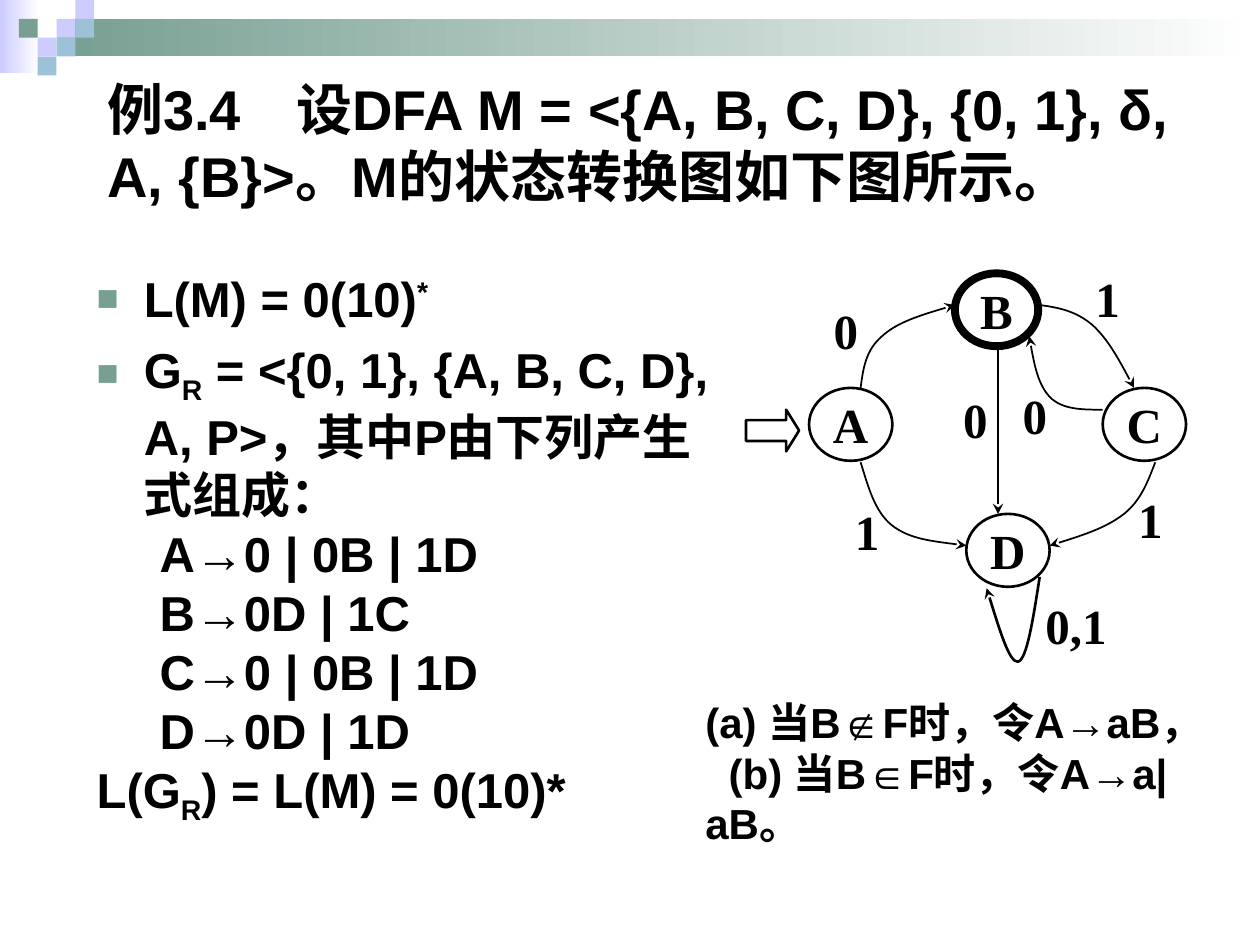
from lxml import etree
from pptx import Presentation
from pptx import util as u
from pptx.dml.color import RGBColor
from pptx.enum import shapes, text
from pptx.oxml import ns

BLACK = RGBColor(0x00, 0x00, 0x00)
WHITE = RGBColor(0xFF, 0xFF, 0xFF)
GREEN = RGBColor(0x77, 0x9F, 0x92)
LILAC = RGBColor(0xCC, 0xCC, 0xFF)
BLUE = RGBColor(0x9D, 0xC2, 0xD7)


def add_xml(parent, tag, **attributes):
    return etree.SubElement(parent, ns.qn(tag), attributes)


class SlideBuilder:
    """Holds the text style and the slide being filled."""

    sans = "Arial"
    serif = "Times New Roman"

    def __init__(self, slide):
        self.slide = slide

    def outline(self, shape, width):
        shape.shadow.inherit = False
        shape.fill.background()
        shape.line.color.rgb = BLACK
        shape.line.width = u.Pt(width)

    def arrowhead(self, shape):
        add_xml(shape.line._get_or_add_ln(), "a:tailEnd", type="stealth")

    def preset(self, kind, *box):
        return self.slide.shapes.add_shape(kind, *map(u.Cm, box))

    def block(self, box, color, fade=False):
        shape = self.preset(shapes.MSO_SHAPE.RECTANGLE, *box)
        shape.shadow.inherit = False
        shape.line.fill.background()
        if fade:
            shape.fill.gradient()
            shape.fill.gradient_angle = 0
            for stop, stop_color in zip(shape.fill.gradient_stops, (color, WHITE)):
                stop.color.rgb = stop_color
        else:
            shape.fill.solid()
            shape.fill.fore_color.rgb = color

    def set_font(self, paragraph, size, name):
        font = paragraph.font
        font.name, font.size, font.bold = name, u.Pt(size), True
        font.color.rgb = BLACK

    def text_box(self, box, anchor=text.MSO_ANCHOR.TOP):
        frame = self.slide.shapes.add_textbox(*map(u.Cm, box)).text_frame
        frame.word_wrap = True
        frame.vertical_anchor = anchor
        return frame

    def paragraph(self, frame, parts, size, margin=0, indent=0,
                  before=0, bullet=False, tab=None):
        """Parts are plain strings or (string, baseline in percent) pairs."""
        first = frame.paragraphs[0]
        paragraph = frame.add_paragraph() if first.runs else first
        properties = paragraph._p.get_or_add_pPr()
        properties.set("marL", str(u.Cm(margin)))
        properties.set("indent", str(u.Cm(indent)))
        if bullet:
            add_xml(add_xml(properties, "a:buClr"), "a:srgbClr", val=str(GREEN))
            add_xml(properties, "a:buSzPct", val="75000")
            add_xml(properties, "a:buFont", typeface=self.sans)
            add_xml(properties, "a:buChar", char="■")
        if tab:
            tabs = add_xml(properties, "a:tabLst")
            add_xml(tabs, "a:tab", pos=str(u.Cm(tab)), algn="l")
        paragraph.space_before = u.Pt(before)
        for part in parts:
            wording, baseline = (part, 0) if isinstance(part, str) else part
            run = paragraph.add_run()
            run.text = wording
            if baseline:
                run._r.get_or_add_rPr().set("baseline", str(baseline * 1000))
        self.set_font(paragraph, size, self.sans)

    def centred(self, frame, wording):
        frame.word_wrap = False
        frame.vertical_anchor = text.MSO_ANCHOR.MIDDLE
        paragraph = frame.paragraphs[0]
        paragraph.text = wording
        paragraph.alignment = text.PP_ALIGN.CENTER
        self.set_font(paragraph, 28, self.serif)

    def state(self, name, left, top, width=1.5):
        shape = self.preset(shapes.MSO_SHAPE.OVAL, left, top, 1.68, 1.47)
        self.outline(shape, width)
        self.centred(shape.text_frame, name)

    def label(self, wording, left, top):
        self.centred(self.text_box((left, top, 2.34, 1.47)), wording)

    def curve(self, points, width=1):
        """Draw Bézier pieces: a start, then two controls and an end for each."""
        start, *others = [(u.Cm(x), u.Cm(y)) for x, y in points]
        builder = self.slide.shapes.build_freeform(*start)
        builder.add_line_segments(others, close=False)
        shape = builder.convert_to_shape()
        outline_path = shape._element.find(".//" + ns.qn("a:path"))
        segments = outline_path.findall(ns.qn("a:lnTo"))
        for index in range(0, len(segments), 3):
            bezier = add_xml(outline_path, "a:cubicBezTo")
            for segment in segments[index:index + 3]:
                bezier.append(segment[0])
                outline_path.remove(segment)
        self.outline(shape, width)
        self.arrowhead(shape)

    def arrow(self, *ends):
        connector = self.slide.shapes.add_connector(
            shapes.MSO_CONNECTOR.STRAIGHT, *map(u.Cm, ends))
        connector.line.color.rgb = BLACK
        connector.line.width = u.Pt(1)
        self.arrowhead(connector)
        add_xml(connector._element.spPr, "a:effectLst")


def main():
    presentation = Presentation()
    presentation.slide_width, presentation.slide_height = u.Cm(25.4), u.Cm(19.05)
    builder = SlideBuilder(presentation.slides.add_slide(presentation.slide_layouts[6]))

    # Header band and tiles
    builder.block((0, 0, 0.79, 1.47), LILAC, fade=True)
    builder.block((1.14, 0.38, 24.26, 0.76), GREEN, fade=True)
    tile = 0.38
    for column, row, color in [(3, 1, LILAC), (4, 0, LILAC), (4, 1, BLUE), (2, 2, LILAC),
                               (1, 1, GREEN), (3, 2, BLUE), (2, 3, BLUE)]:
        builder.block((column * tile, row * tile, tile, tile), color)

    # Grammar
    body = builder.text_box((1.7, 5.28, 13.13, 12.07))
    item = dict(size=28, margin=0.95, indent=-0.95, bullet=True)
    builder.paragraph(body, ["L(M) = 0(10)", ("*", 30)], **item)
    builder.paragraph(body, ["G", ("R", -25),
                             " = <{0, 1}, {A, B, C, D}, A, P>，其中P由下列产生式组成："],
                      before=7, **item)
    for rule in ("A→0 | 0B | 1D", "B→0D | 1C", "C→0 | 0B | 1D", "D→0D | 1D"):
        builder.paragraph(body, [rule], 28, margin=2.06, indent=-0.79)
    builder.paragraph(body, ["L(G", ("R", -25), ") = L(M) = 0(10)*"], 28,
                      margin=0.95, indent=-0.95)

    # Title
    title = builder.text_box((1.91, 1.27, 22.86, 3.18), text.MSO_ANCHOR.MIDDLE)
    builder.paragraph(title, ["例3.4\t设DFA M = <{A, B, C, D}, {0, 1}, δ, A, {B}>。"
                              "M的状态转换图如下图所示。"], 32, tab=3.93)

    # States
    builder.state("A", 16.31, 7.82)
    builder.state("B", 19.25, 5.51, width=4.5)
    builder.state("C", 22.23, 7.82)
    builder.state("D", 19.48, 10.36)

    # Transition labels
    for wording, left, top in [("1", 21.16, 5.28), ("0", 15.88, 5.92), ("0,1", 20.52, 11.86),
                               ("1", 16.31, 9.96), ("1", 22.02, 9.73), ("0", 19.69, 7.62),
                               ("0", 18.49, 7.72)]:
        builder.label(wording, left, top)

    # Transitions: D-D, B-D, A-B, A-D, C-B, B-C, C-D
    builder.curve([(20.96, 11.63), (20.83, 12.47), (20.7, 13.31), (20.52, 13.34),
                   (20.35, 13.36), (20.12, 12.6), (19.89, 11.86)], width=1.5)
    builder.arrow(20.12, 6.99, 20.12, 10.36)
    for points in [
        [(17.35, 7.82), (17.4, 7.44), (17.45, 7.06), (17.78, 6.78),
         (18.08, 6.5), (18.67, 6.32), (19.25, 6.15)],
        [(17.35, 9.32), (17.5, 9.8), (17.63, 10.31), (17.98, 10.59),
         (18.34, 10.87), (18.9, 10.92), (19.48, 11)],
        [(22.23, 8.26), (21.82, 8.26), (21.41, 8.26), (21.16, 8),
         (20.93, 7.75), (20.83, 7.26), (20.75, 6.78)],
        [(20.96, 6.15), (21.34, 6.2), (21.69, 6.27), (22.02, 6.55),
         (22.33, 6.83), (22.61, 7.34), (22.86, 7.82)],
        [(23.29, 9.32), (23.14, 9.7), (23.01, 10.08), (22.66, 10.36),
         (22.3, 10.64), (21.74, 10.82), (21.16, 11)],
    ]:
        builder.curve(points)

    # Start marker
    start = builder.preset(shapes.MSO_SHAPE.RIGHT_ARROW, 15.04, 8.26, 1.07, 0.84)
    start.adjustments[1] = 0.31
    builder.outline(start, 1.5)

    # Construction rules
    notes = builder.text_box((12.7, 13.92, 12.7, 3.3))
    builder.paragraph(notes, ["(a) 当B∉F时，令A→aB，"], 24, margin=1.27)
    builder.paragraph(notes, ["(b) 当B∈F时，令A→a|aB。"], 24, margin=1.27, indent=0.47)

    presentation.save("out.pptx")


if __name__ == "__main__":
    main()
